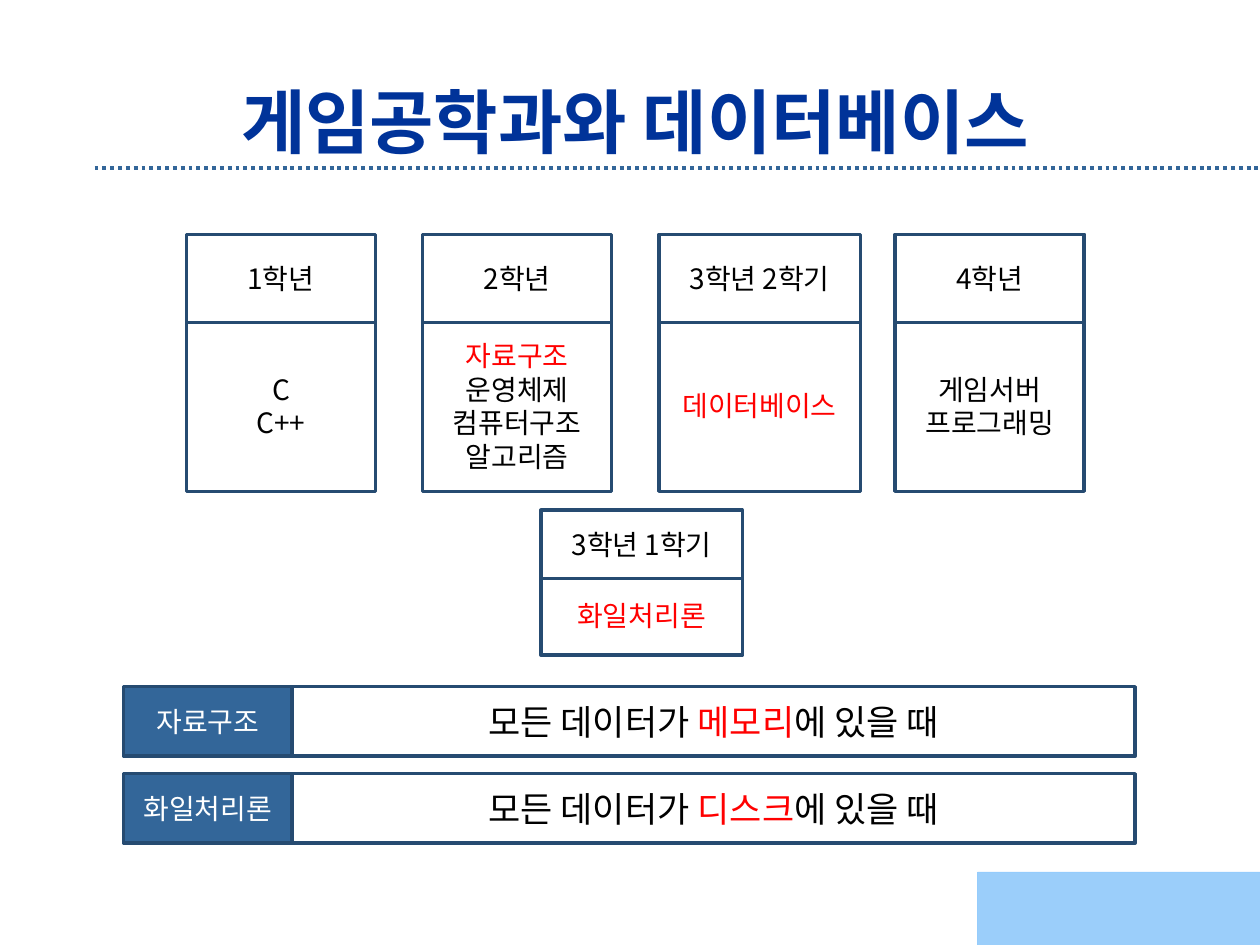
"""Builds the slide on game engineering courses and databases."""
from dataclasses import dataclass

from lxml.etree import SubElement
from pptx import Presentation
from pptx.dml.color import RGBColor as RGB
from pptx.enum.dml import MSO_LINE
from pptx.enum.shapes import MSO_CONNECTOR, MSO_SHAPE
from pptx.enum.text import MSO_ANCHOR, MSO_AUTO_SIZE, PP_ALIGN
from pptx.oxml.ns import qn
from pptx.util import Inches, Pt


@dataclass(frozen=True)
class Theme:
    font: str = "Noto Sans CJK KR"
    title: str = "003399"
    accent: str = "336699"
    border: str = "264B71"
    corner: str = "9BCEFA"
    corner_line: str = "95CCFC"
    paper: str = "FFFFFF"
    ink: str = "000000"
    key: str = "FF0000"
    title_size: int = 40
    rule_size: int = 20
    body_size: int = 16


class Deck:
    def __init__(self, theme, cols=100, rows=75):
        self.t = theme
        self.prs = Presentation()
        self.prs.slide_width, self.prs.slide_height = Inches(10), Inches(7.5)
        self.dx = self.prs.slide_width / cols
        self.dy = self.prs.slide_height / rows
        self.s = self.prs.slides.add_slide(self.prs.slide_layouts[5])

    def grid(self, x, y, w, h):
        return [round(v * d) for v, d in zip((x, y, w, h), (self.dx, self.dy) * 2)]

    def add_text(self, sp, lines, size, bold=False):
        tf = sp.text_frame
        tf.word_wrap = True
        tf.auto_size = MSO_AUTO_SIZE.NONE
        tf.vertical_anchor = MSO_ANCHOR.MIDDLE
        for i, runs in enumerate(lines):
            p = tf.add_paragraph() if i else tf.paragraphs[0]
            p.alignment = PP_ALIGN.CENTER
            for text, color in runs:
                r = p.add_run()
                r.text = text
                r.font.size, r.font.bold = Pt(size), bold
                r.font.name = self.t.font
                r.font.color.rgb = RGB.from_string(color)
                SubElement(r._r.get_or_add_rPr(), qn("a:ea"), typeface=self.t.font)

    def title(self, text, *at):
        sp = self.s.shapes.title
        sp.left, sp.top, sp.width, sp.height = self.grid(*at)
        self.add_text(sp, [[(text, self.t.title)]], self.t.title_size, True)

    def rule(self, x, y, w):
        left, top, width, _ = self.grid(x, y, w, 0)
        cn = self.s.shapes.add_connector(MSO_CONNECTOR.STRAIGHT, left, top, left + width, top)
        cn.line.color.rgb = RGB.from_string(self.t.accent)
        cn.line.width = Pt(2.25)
        cn.line.dash_style = MSO_LINE.ROUND_DOT
        SubElement(cn._element.spPr, qn("a:effectLst"))

    def box(self, shapes, at, fill, line, width):
        sp = shapes.add_shape(MSO_SHAPE.RECTANGLE, *self.grid(*at))
        sp.shadow.inherit = False
        sp.fill.solid()
        sp.fill.fore_color.rgb = RGB.from_string(fill)
        sp.line.color.rgb = RGB.from_string(line)
        sp.line.width = Pt(width)
        return sp

    def cell(self, shapes, at, lines, size, fill):
        self.add_text(self.box(shapes, at, fill, self.t.border, 2), lines, size)

    def card(self, shapes, x, y, w, head_h, body_y, body_h, head, lines):
        t = self.t
        self.cell(shapes, (x, body_y, w, body_h), [[line] for line in lines], t.body_size, t.paper)
        self.cell(shapes, (x, y, w, head_h), [[(head, t.ink)]], t.body_size, t.paper)

    def definition(self, shapes, y, term, place):
        t = self.t
        runs = [("모든 데이터가 ", t.ink), (place, t.key), ("에 있을 때", t.ink)]
        self.cell(shapes, (23.2, y, 66.9, 5.5), [runs], t.rule_size, t.paper)
        self.cell(shapes, (9.8, y, 13.4, 5.5), [[(term, t.paper)]], t.body_size, t.accent)

    def group(self):
        return self.s.shapes.add_group_shape().shapes


def main():
    t = Theme()
    deck = Deck(t)
    deck.rule(7.5, 13.3, 92.5)
    deck.box(deck.s.shapes, (77.6, 69.2, 22.4, 5.8), t.corner, t.corner_line, 0.25)
    deck.title("게임공학과와 데이터베이스", 7.5, 6.7, 85.8, 5.8)

    first, step = 14.8, 18.75
    years = [
        ("1학년", 15, [("C", t.ink), ("C++", t.ink)]),
        ("2학년", 15, [("자료구조", t.key), ("운영체제", t.ink),
                     ("컴퓨터구조", t.ink), ("알고리즘", t.ink)]),
        ("3학년 2학기", 16, [("데이터베이스", t.key)]),
        ("4학년", 15, [("게임서버", t.ink), ("프로그래밍", t.ink)]),
    ]
    shapes = deck.group()
    for i, (head, w, lines) in enumerate(years):
        deck.card(shapes, first + i * step, 18.6, w, 7, 25.4, 13.6, head, lines)
    deck.card(deck.group(), first + 1.5 * step, 40.5, 16, 5.4, 45.7, 6.3,
              "3학년 1학기", [("화일처리론", t.key)])

    shapes = deck.group()
    for i, (term, place) in enumerate([("자료구조", "메모리"), ("화일처리론", "디스크")]):
        deck.definition(shapes, 54.5 + 6.9 * i, term, place)
    deck.prs.save("out.pptx")


if __name__ == "__main__":
    main()
